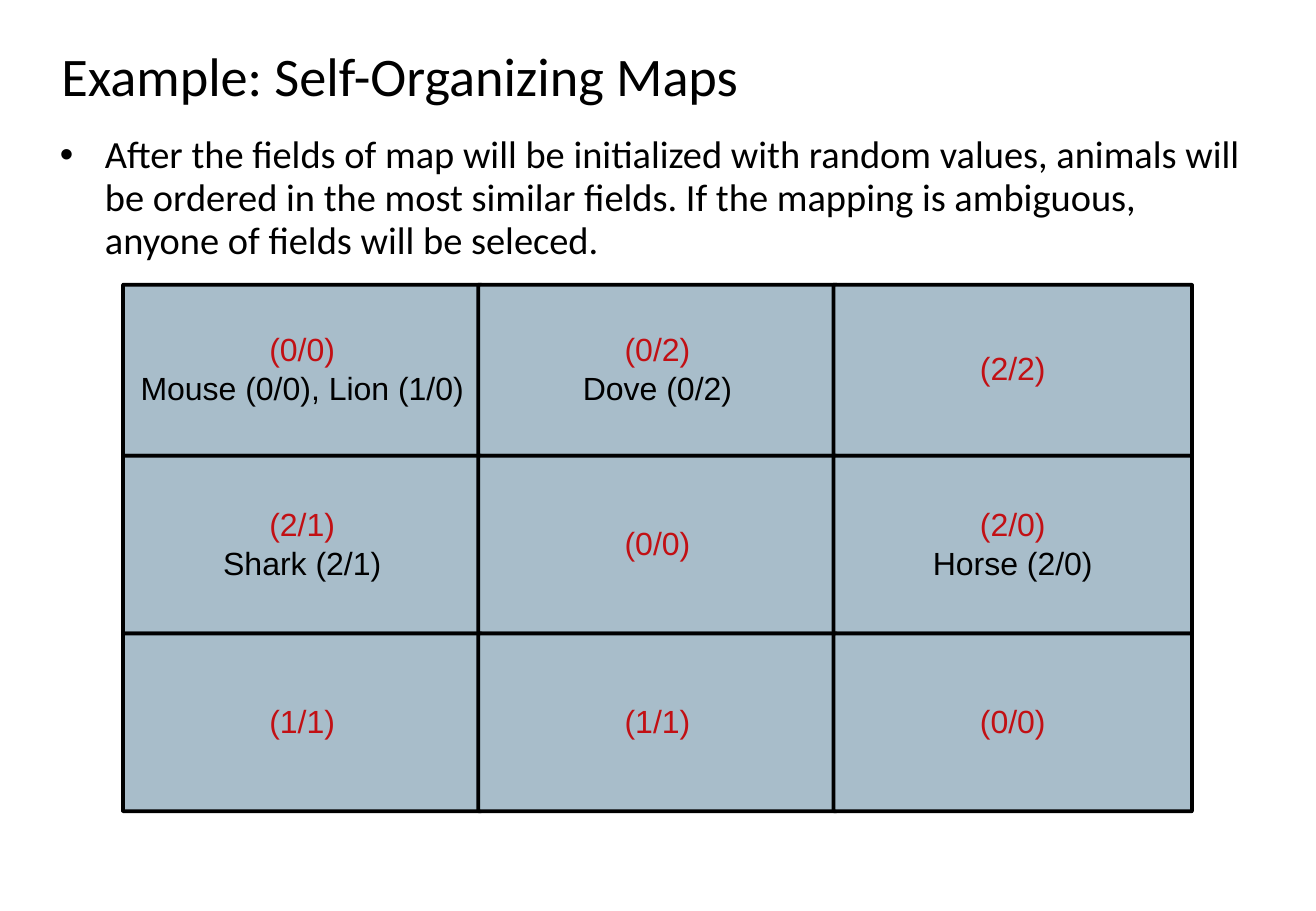
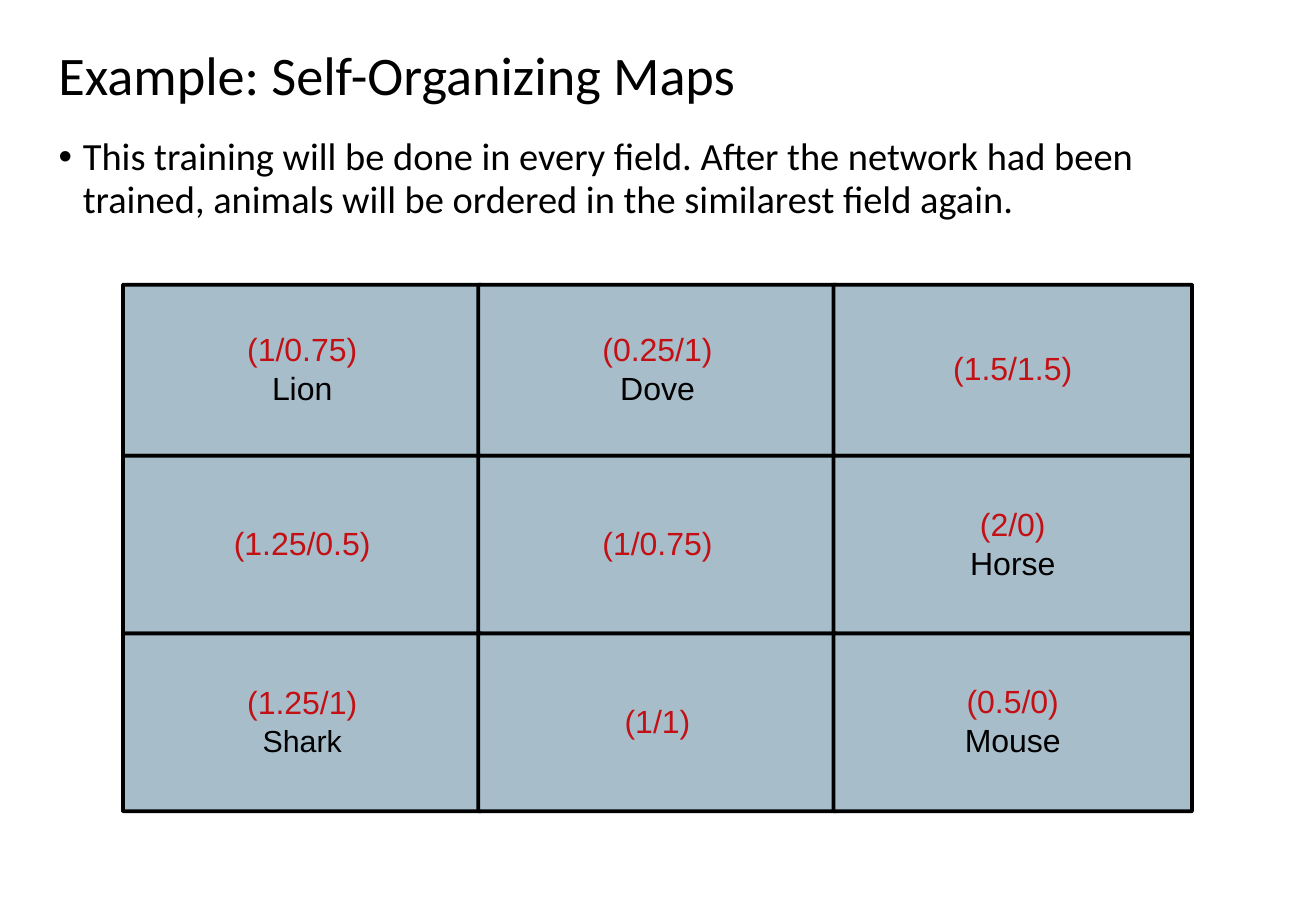
"""Builds two slides that show a self-organizing map before and after training."""
from dataclasses import dataclass

from lxml import etree
from pptx import Presentation
from pptx.dml.color import RGBColor
from pptx.enum.shapes import MSO_SHAPE
from pptx.enum.text import MSO_ANCHOR, PP_ALIGN
from pptx.oxml.ns import qn
from pptx.util import Pt

FIELD_SHAPE = MSO_SHAPE.ROUNDED_RECTANGLE
TOP, MIDDLE = MSO_ANCHOR.TOP, MSO_ANCHOR.MIDDLE
LEFT, CENTER = PP_ALIGN.LEFT, PP_ALIGN.CENTER


@dataclass(frozen=True)
class Theme:
    ink: RGBColor = RGBColor(0x00, 0x00, 0x00)
    weights: RGBColor = RGBColor(0xC2, 0x10, 0x14)
    field: RGBColor = RGBColor(0xA8, 0xBD, 0xCA)
    text_font: str = "Calibri"
    map_font: str = "Arial"
    title_size: float = 32.2
    body_size: float = 22.8
    map_size: float = 19
    line_spacing: float = 0.93
    border: float = 2.25


THEME = Theme()
TITLE = "Example: Self-Organizing Maps"
SLIDES = [
    {
        "title_at": (29.4, 32.8),
        "body_at": (27.7, 76),
        "body_insets": (7.9, 3.6),
        "indent": 26.64,
        "body": "After the fields of map will be initialized with random values, "
                "animals will be ordered in the most similar fields. If the mapping "
                "is ambiguous, anyone of fields will be seleced.",
        "fields": [
            [("(0/0)", "Mouse (0/0), Lion (1/0)"), ("(0/2)", "Dove (0/2)"), ("(2/2)",)],
            [("(2/1)", "Shark (2/1)"), ("(0/0)",), ("(2/0)", "Horse (2/0)")],
            [("(1/1)",), ("(1/1)",), ("(0/0)",)],
        ],
    },
    {
        "title_at": (27.6, 32),
        "body_at": (27.7, 77.2),
        "body_insets": (7.2, 3.6),
        "indent": 14.4,
        "body": "This training will be done in every field. After the network had been "
                "trained, animals will be ordered in the similarest field again.",
        "fields": [
            [("(1/0.75)", "Lion"), ("(0.25/1)", "Dove"), ("(1.5/1.5)",)],
            [("(1.25/0.5)",), ("(1/0.75)",), ("(2/0)", "Horse")],
            [("(1.25/1)", "Shark", 18), ("(1/1)",), ("(0.5/0)", "Mouse")],
        ],
    },
]

SLIDE_WIDTH, SLIDE_HEIGHT = 780.48, 540
TITLE_SIZE = (615, 27.4)
BODY_SIZE = (725, 425.5)
MAP_LEFT, MAP_TOP = 73, 168.8
COLUMN_STEP, FIELD_WIDTH = 210.7, 212.6
ROW_HEIGHTS = (101.4, 105.3, 105.3)
TITLE_INSETS, FIELD_INSETS = (7.2, 3.6), (5, 2.9)


def set_frame(frame, anchor, insets):
    frame.word_wrap = True
    frame.vertical_anchor = anchor
    frame.margin_left = frame.margin_right = Pt(insets[0])
    frame.margin_top = frame.margin_bottom = Pt(insets[1])


def write(para, text, font, size, color, align=LEFT, spacing=THEME.line_spacing):
    para.alignment = align
    para.line_spacing = spacing
    span = para.add_run()
    span.text = text
    span.font.name = font
    span.font.size = Pt(size)
    span.font.color.rgb = color


def add_bullet(para, indent):
    props = para._p.get_or_add_pPr()
    props.set("marL", str(Pt(indent)))
    props.set("indent", str(-Pt(indent)))
    etree.SubElement(props, qn("a:buFont")).set("typeface", THEME.map_font)
    etree.SubElement(props, qn("a:buChar")).set("char", "•")


def add_text(page, area, text, size, anchor, insets):
    box = page.shapes.add_textbox(*map(Pt, area))
    set_frame(box.text_frame, anchor, insets)
    para = box.text_frame.paragraphs[0]
    write(para, text, THEME.text_font, size, THEME.ink)
    return para


def add_field(page, area, weights, animals=None, animal_size=THEME.map_size):
    field = page.shapes.add_shape(FIELD_SHAPE, *map(Pt, area))
    field.adjustments[0] = 0.001
    field.shadow.inherit = False
    field.fill.solid()
    field.fill.fore_color.rgb = THEME.field
    field.line.color.rgb = THEME.ink
    field.line.width = Pt(THEME.border)
    frame = field.text_frame
    set_frame(frame, MIDDLE, FIELD_INSETS)
    write(frame.paragraphs[0], weights, THEME.map_font, THEME.map_size, THEME.weights, CENTER)
    if animals:
        write(frame.add_paragraph(), animals, THEME.map_font, animal_size, THEME.ink, CENTER, 1.0)


def add_map(page, rows):
    for index, (fields, height) in enumerate(zip(rows, ROW_HEIGHTS)):
        top = MAP_TOP + sum(ROW_HEIGHTS[:index])
        for column, content in enumerate(fields):
            left = MAP_LEFT + column * COLUMN_STEP
            add_field(page, (left, top, FIELD_WIDTH, height), *content)


def main():
    deck = Presentation()
    deck.slide_width = Pt(SLIDE_WIDTH)
    deck.slide_height = Pt(SLIDE_HEIGHT)
    blank = deck.slide_layouts[6]
    for content in SLIDES:
        page = deck.slides.add_slide(blank)
        title_area = content["title_at"] + TITLE_SIZE
        add_text(page, title_area, TITLE, THEME.title_size, MIDDLE, TITLE_INSETS)
        body_area = content["body_at"] + BODY_SIZE
        para = add_text(page, body_area, content["body"], THEME.body_size, TOP,
                        content["body_insets"])
        add_bullet(para, content["indent"])
        add_map(page, content["fields"])
    deck.save("out.pptx")


if __name__ == "__main__":
    main()
